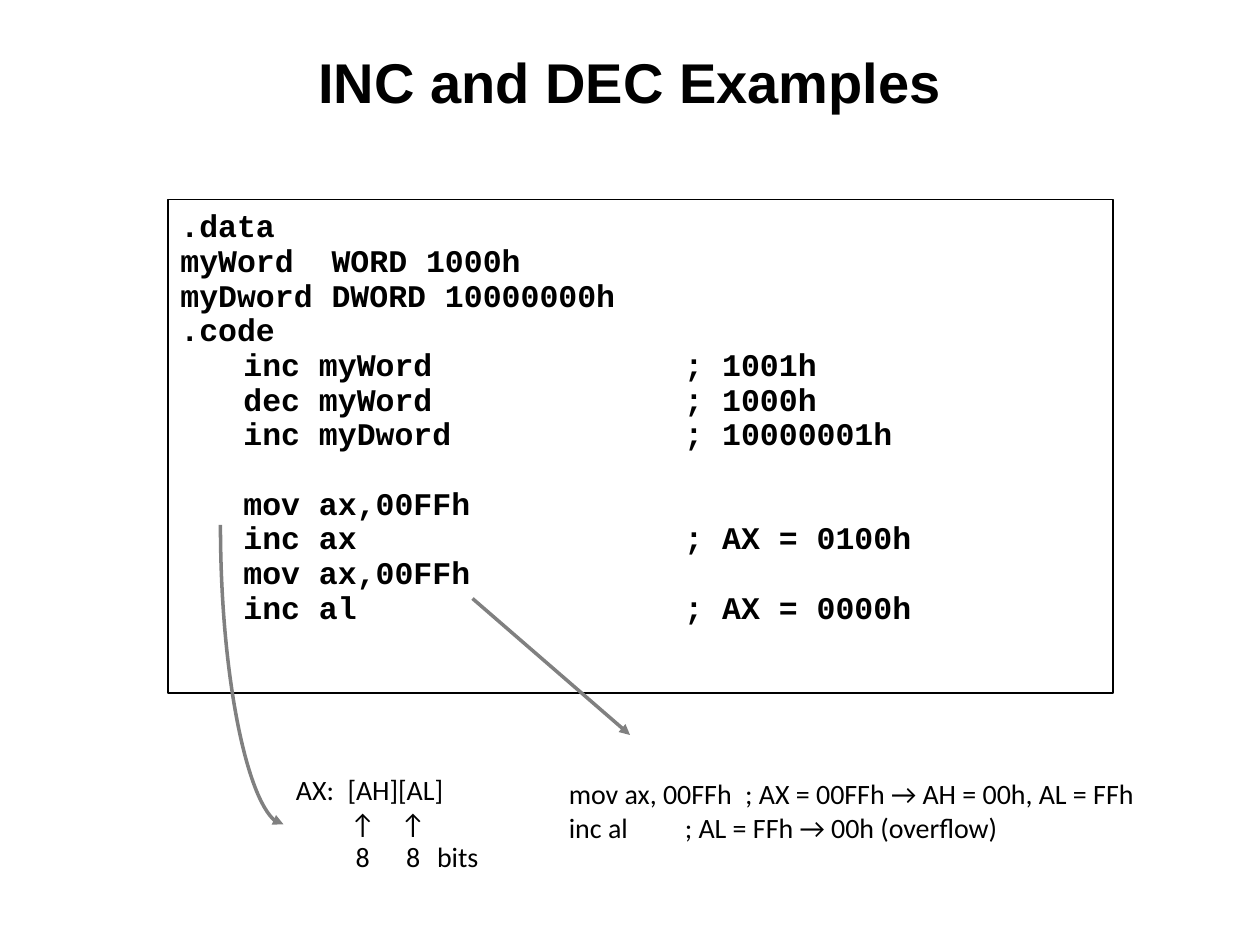
from lxml import etree
from pptx import Presentation
from pptx.dml.color import RGBColor
from pptx.enum.shapes import MSO_CONNECTOR, MSO_SHAPE
from pptx.enum.text import MSO_ANCHOR, PP_ALIGN
from pptx.oxml.ns import qn
from pptx.util import Inches, Pt

BLACK = RGBColor(0x00, 0x00, 0x00)
GRAY = RGBColor(0x80, 0x80, 0x80)
RECTANGLE = MSO_SHAPE.RECTANGLE
STRAIGHT, CURVE = MSO_CONNECTOR.STRAIGHT, MSO_CONNECTOR.CURVE
CENTER, LEFT = PP_ALIGN.CENTER, PP_ALIGN.LEFT
TOP, MIDDLE = MSO_ANCHOR.TOP, MSO_ANCHOR.MIDDLE

DECK_WIDTH, DECK_HEIGHT = Inches(10), Inches(7.5)
COLUMNS, ROWS = 120, 90
CODE_PITCH = Pt(19.8)
CODE_TABS = [("l", 0.5), ("l", 4)]

DATA_LINES = [".data", "myWord  WORD 1000h", "myDword DWORD 10000000h", ".code"]
COUNT_LINES = ["\tinc myWord\t; 1001h", "\tdec myWord\t; 1000h", "\tinc myDword\t; 10000001h"]
REGISTER_LINES = ["\tmov ax,00FFh", "\tinc ax\t; AX = 0100h", "\tmov ax,00FFh", "\tinc al\t; AX = 0000h"]

BIT_TABS = [("ctr", 0.53), ("ctr", 0.93), ("l", 1.12)]
BIT_LINES = [
    ("AX:\t[AH][AL]", [("l", 0.41)]),
    ("\t↑\t↑", BIT_TABS),
    ("\t8\t8\tbits", BIT_TABS),
]
OVERFLOW_LINES = [
    ("mov ax, 00FFh\t; AX = 00FFh → AH = 00h, AL = FFh", [("l", 1.4)]),
    ("inc al\t; AL = FFh → 00h (overflow)", [("l", 0.92)]),
]


def place(column, row):
    """Turn a grid position into slide lengths."""
    return round(DECK_WIDTH * column / COLUMNS), round(DECK_HEIGHT * row / ROWS)


def set_tabs(para, stops):
    """Give a paragraph its tab stops, each an alignment and inches."""
    tabs = etree.SubElement(para._p.get_or_add_pPr(), qn("a:tabLst"))
    for align, inches in stops:
        etree.SubElement(tabs, qn("a:tab"), pos=str(Inches(inches)), algn=align)


def fill_text(box, lines, font, size, bold=False, align=LEFT, anchor=TOP):
    """Write lines with their tab stops into a box and format them."""
    frame = box.text_frame
    frame.word_wrap = True
    frame.vertical_anchor = anchor
    frame.text = "\n".join(text for text, _ in lines)
    for para, (_, stops) in zip(frame.paragraphs, lines):
        if stops:
            set_tabs(para, stops)
        para.alignment = align
        for span in para.runs:
            span.font.name = font
            span.font.size = Pt(size)
            span.font.bold = bold
            span.font.color.rgb = BLACK


def add_text(page, column, row, width, height, lines, font, size, **style):
    """Add a text box on the grid."""
    box = page.shapes.add_textbox(*place(column, row), *place(width, height))
    fill_text(box, lines, font, size, **style)


def add_code(page, column, row, width, height):
    """Add the framed listing with a gap before its register lines."""
    box = page.shapes.add_shape(RECTANGLE, *place(column, row), *place(width, height))
    box.shadow.inherit = False
    box.fill.background()
    box.line.color.rgb = BLACK
    box.line.width = Pt(0.75)
    lines = [(text, CODE_TABS) for text in DATA_LINES + COUNT_LINES + REGISTER_LINES]
    fill_text(box, lines, "Courier New", 18, bold=True)
    frame = box.text_frame
    frame.margin_top = Inches(0.08)
    for para in frame.paragraphs:
        para.line_spacing = CODE_PITCH
    frame.paragraphs[len(DATA_LINES + COUNT_LINES)].space_before = CODE_PITCH


def add_arrow(page, kind, start, end):
    """Add a gray connector with an arrowhead at its end."""
    arrow = page.shapes.add_connector(kind, *place(*start), *place(*end))
    arrow.line.color.rgb = GRAY
    arrow.line.width = Pt(2)
    etree.SubElement(arrow.line._get_or_add_ln(), qn("a:tailEnd"), type="triangle")
    etree.SubElement(arrow._element.spPr, qn("a:effectLst"))
    return arrow


def add_bend(page, start, end):
    """Add an arrow that leaves downward and curves in from the left."""
    middle_column, middle_row = (start[0] + end[0]) / 2, (start[1] + end[1]) / 2
    half_width, half_height = (end[0] - start[0]) / 2, (end[1] - start[1]) / 2
    arrow = add_arrow(
        page, CURVE,
        (middle_column + half_height, middle_row - half_width),
        (middle_column - half_height, middle_row + half_width),
    )
    properties = arrow._element.spPr
    properties.find(qn("a:xfrm")).set("rot", str(270 * 60000))
    properties.find(qn("a:prstGeom")).set("prst", "curvedConnector2")


def main():
    """Build the slide and save it."""
    deck = Presentation()
    deck.slide_width, deck.slide_height = DECK_WIDTH, DECK_HEIGHT
    page = deck.slides.add_slide(deck.slide_layouts[6])
    add_text(page, 6, 2, 108, 11.4, [("INC and DEC Examples", [])], "Arial", 32,
             bold=True, align=CENTER, anchor=MIDDLE)
    add_text(page, 27, 73, 20, 11, BIT_LINES, "Calibri", 16)
    add_code(page, 16, 19, 90, 47)
    add_text(page, 53, 73.4, 60, 7.7, OVERFLOW_LINES, "Calibri", 16)
    add_bend(page, (21, 50), (27, 78.5))
    add_arrow(page, STRAIGHT, (45, 57), (60, 70))
    deck.save("out.pptx")


if __name__ == "__main__":
    main()
